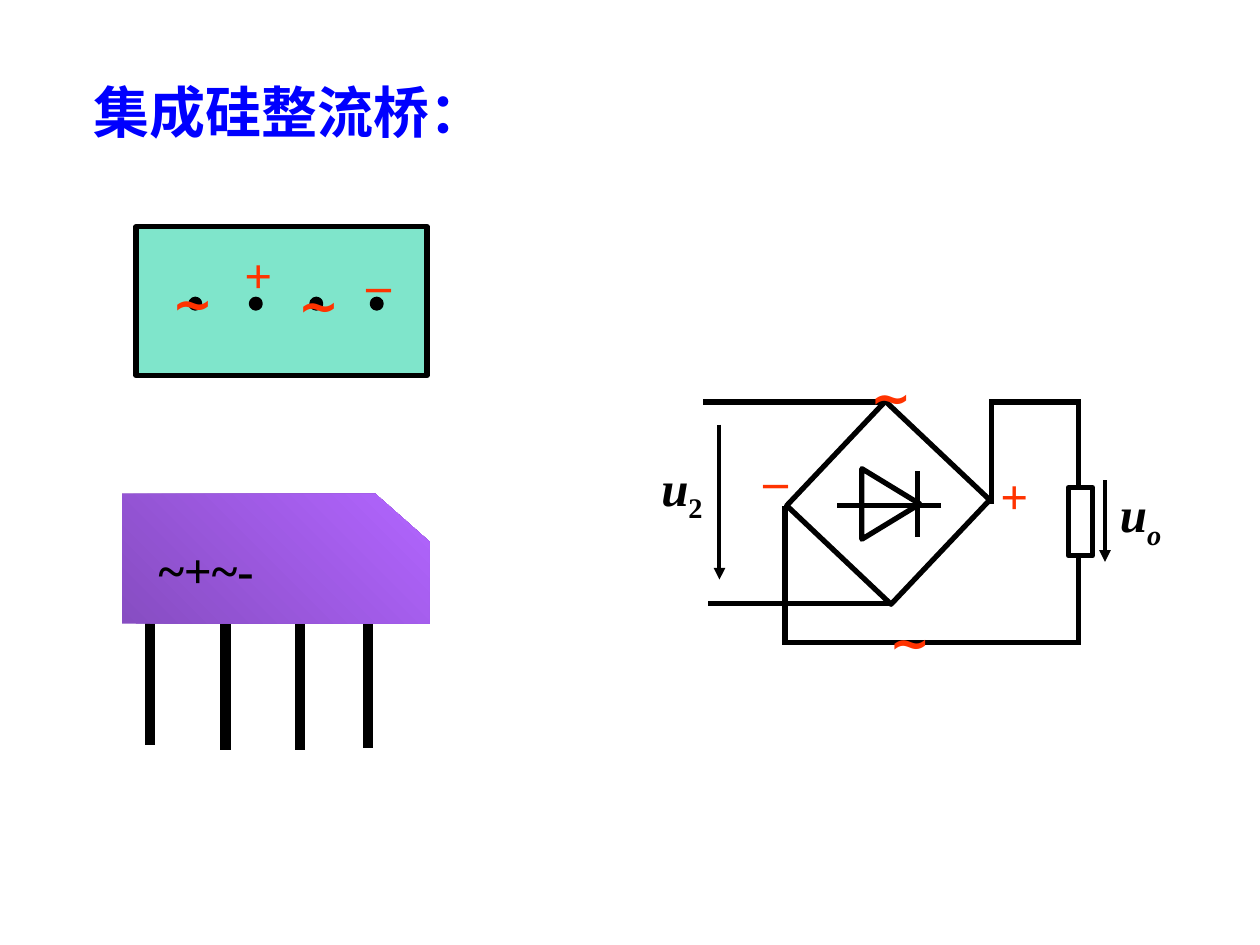
"""Build the slide on the integrated silicon bridge rectifier."""
from dataclasses import dataclass

import lxml.etree
import pptx
import pptx.dml.color
import pptx.enum.shapes
import pptx.enum.text
import pptx.oxml.ns
import pptx.util

Inches = pptx.util.Inches
Shape = pptx.enum.shapes.MSO_SHAPE
Align = pptx.enum.text.PP_ALIGN
Anchor = pptx.enum.text.MSO_ANCHOR
qn = pptx.oxml.ns.qn

COLORS = {
    "title": "0000FF",
    "ink": "000000",
    "paper": "FFFFFF",
    "sign": "FF3300",
    "plate": "00CC99",
    "dark": "874DC2",
    "light": "B265FF",
}


@dataclass
class Wire:
    start: tuple[float, float]
    end: tuple[float, float]
    width: float = 3
    arrow: bool = False


@dataclass
class Block:
    kind: int
    box: tuple[float, float, float, float]
    fill: str = "paper"
    width: float = 3
    turn: float = 0
    alpha: int = 100


@dataclass
class Sign:
    text: str
    left: float
    top: float
    width: float
    font: str = "Times New Roman"


def color(name: str) -> pptx.dml.color.RGBColor:
    """Return a named colour."""
    return pptx.dml.color.RGBColor.from_string(COLORS[name])


def add_text(slide, text: str, box: tuple, *, size: float = 28, hue: str = "ink",
             font: str = "Times New Roman", italic: bool = False, sub: str = "",
             sub_italic: bool = False, align=Align.LEFT, anchor=Anchor.TOP,
             wrap: bool = False) -> None:
    """Add bold text with an optional subscript."""
    frame = slide.shapes.add_textbox(*map(Inches, box)).text_frame
    frame.word_wrap = wrap
    frame.vertical_anchor = anchor
    para = frame.paragraphs[0]
    para.alignment = align
    for words, slant in ((text, italic), (sub, sub_italic)):
        if not words:
            continue
        run = para.add_run()
        run.text = words
        run.font.name = font
        run.font.size = pptx.util.Pt(size)
        run.font.bold = True
        run.font.italic = slant
        run.font.color.rgb = color(hue)
        if words is sub:
            run.font._element.set("baseline", "-25000")


def add_wire(slide, wire: Wire) -> None:
    """Draw a straight line, with an arrowhead if asked."""
    line = slide.shapes.add_connector(
        pptx.enum.shapes.MSO_CONNECTOR.STRAIGHT,
        *map(Inches, wire.start + wire.end))
    line.line.color.rgb = color("ink")
    line.line.width = pptx.util.Pt(wire.width)
    props = line._element.spPr
    if wire.arrow:
        lxml.etree.SubElement(props.find(qn("a:ln")), qn("a:tailEnd"), type="triangle")
    lxml.etree.SubElement(props, qn("a:effectLst"))


def add_block(slide, block: Block) -> None:
    """Draw an outlined preset shape."""
    shape = slide.shapes.add_shape(block.kind, *map(Inches, block.box))
    shape.shadow.inherit = False
    shape.rotation = block.turn
    shape.fill.solid()
    shape.fill.fore_color.rgb = color(block.fill)
    shape.line.color.rgb = color("ink")
    shape.line.width = pptx.util.Pt(block.width)
    if block.alpha < 100:
        tint = shape._element.spPr.find(qn("a:solidFill"))[0]
        lxml.etree.SubElement(tint, qn("a:alpha"), val=str(block.alpha * 1000))


def add_sign(slide, sign: Sign) -> None:
    """Write a terminal sign."""
    add_text(slide, sign.text, (sign.left, sign.top, sign.width, 0.57), hue="sign",
             font=sign.font, align=Align.CENTER, anchor=Anchor.MIDDLE)


def add_body(slide) -> None:
    """Draw the package body with its cut corner."""
    pen = slide.shapes.build_freeform(Inches(0.97), Inches(3.92))
    points = [(2.98, 3.92), (3.41, 4.3), (3.41, 4.95), (0.97, 4.95)]
    pen.add_line_segments([(Inches(x), Inches(y)) for x, y in points])
    body = pen.convert_to_shape()
    body.shadow.inherit = False
    body.fill.gradient()
    body.fill.gradient_angle = 45
    for stop, name in zip(body.fill.gradient_stops, ("dark", "light")):
        stop.color.rgb = color(name)
    body.line.fill.background()


def add_bridge(slide) -> None:
    """Draw the bridge circuit with its load."""
    add_block(slide, Block(Shape.RECTANGLE, (6.48, 3.42, 1.14, 1.14), turn=313.4))
    add_block(slide, Block(Shape.ISOSCELES_TRIANGLE, (6.79, 3.77, 0.56, 0.46), turn=90))
    wires = [
        Wire((7.47, 4.01), (6.64, 4.01)),
        Wire((7.28, 3.74), (7.28, 4.26)),
        Wire((5.58, 3.19), (7.04, 3.19)),
        Wire((5.62, 4.79), (7.08, 4.79)),
        Wire((5.71, 3.37), (5.71, 4.6), 2.25, True),
        Wire((7.87, 4), (7.87, 3.17)),
        Wire((7.85, 3.19), (8.58, 3.19)),
        Wire((6.23, 4.02), (6.23, 5.12)),
        Wire((6.23, 5.1), (8.58, 5.1)),
        Wire((8.56, 3.17), (8.56, 5.1)),
        Wire((8.77, 3.81), (8.77, 4.46), 2.25, True),
    ]
    for wire in wires:
        add_wire(slide, wire)
    add_block(slide, Block(Shape.RECTANGLE, (8.48, 3.87, 0.19, 0.54)))
    add_text(slide, "u", (5.15, 3.58, 0.6, 0.63), italic=True, sub="2", wrap=True)
    add_text(slide, "u", (8.79, 3.79, 0.67, 0.63), italic=True, sub="o",
             sub_italic=True, wrap=True)
    for sign in (Sign("+", 7.84, 3.64, 0.42), Sign("∼", 6.96, 4.8, 0.51, "Arial"),
                 Sign("–", 5.96, 3.52, 0.39), Sign("∼", 6.77, 2.86, 0.6, "Arial")):
        add_sign(slide, sign)


def add_chip(slide) -> None:
    """Draw the package from below and from the front."""
    for x, y in ((2.38, 4.53), (1.79, 4.53), (1.19, 4.49), (2.92, 4.52)):
        add_wire(slide, Wire((x, y), (x, y + 1.42), 6))
    add_block(slide, Block(Shape.RECTANGLE, (1.08, 1.8, 2.31, 1.18), "plate", alpha=50))
    for col in range(4):
        add_block(slide, Block(Shape.OVAL, (1.51 + 0.48 * col, 2.37, 0.08, 0.08),
                               "ink", 2.25))
    add_body(slide)
    add_text(slide, "~+~-", (1.16, 4.23, 2.11, 0.57), anchor=Anchor.MIDDLE, wrap=True)
    for sign in (Sign("∼", 1.23, 2.11, 0.6, "Arial"), Sign("∼", 2.23, 2.13, 0.6, "Arial"),
                 Sign("+", 1.84, 1.89, 0.42), Sign("–", 2.81, 1.96, 0.39)):
        add_sign(slide, sign)


def main() -> None:
    """Build and save the deck."""
    deck = pptx.Presentation()
    deck.slide_width, deck.slide_height = Inches(10), Inches(7.5)
    slide = deck.slides.add_slide(deck.slide_layouts[6])
    add_text(slide, "集成硅整流桥：", (0.64, 0.57, 3.31, 0.64), size=32, hue="title")
    add_bridge(slide)
    add_chip(slide)
    deck.save("out.pptx")


if __name__ == "__main__":
    main()
